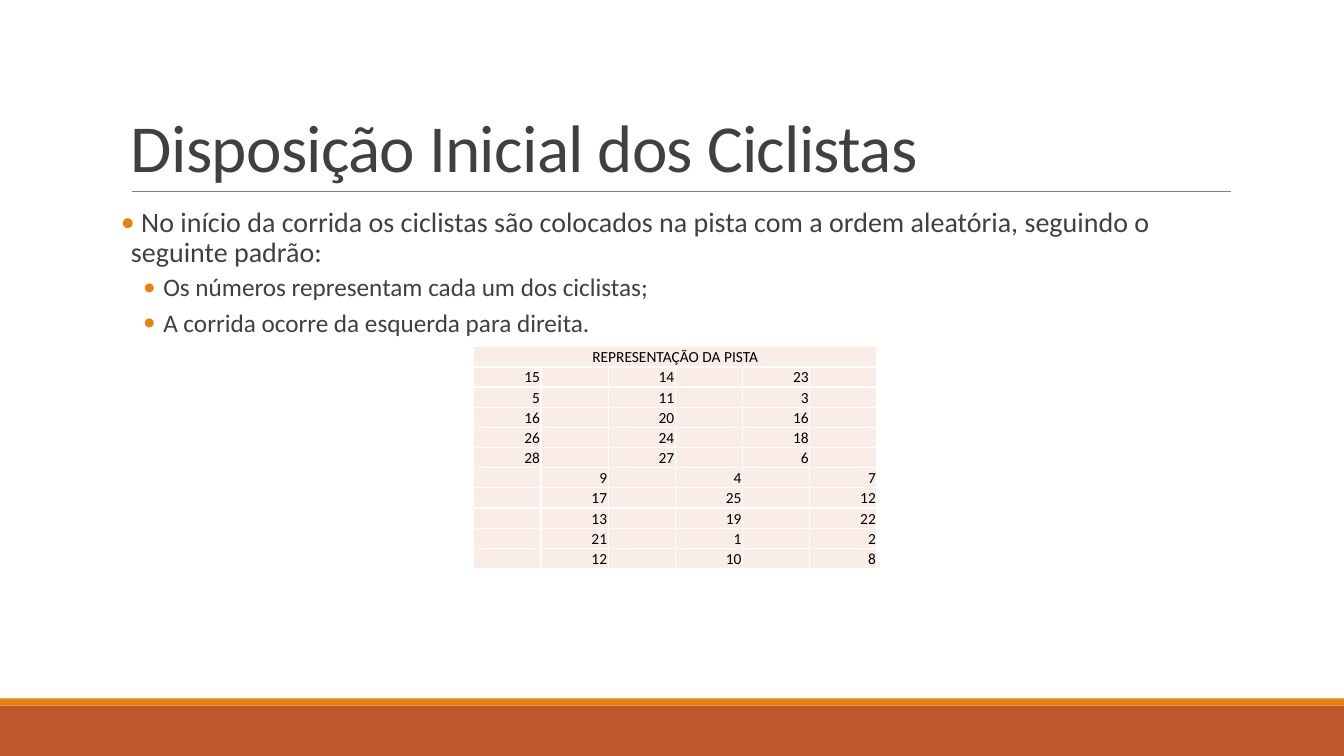
from dataclasses import dataclass

from lxml import etree
from pptx import Presentation
from pptx.dml.color import RGBColor
from pptx.enum.shapes import MSO_CONNECTOR, MSO_SHAPE
from pptx.enum.text import MSO_ANCHOR, PP_ALIGN
from pptx.oxml.ns import qn
from pptx.util import Pt

RECT = MSO_SHAPE.RECTANGLE
LINE = MSO_CONNECTOR.STRAIGHT
BOTTOM, TOP = MSO_ANCHOR.BOTTOM, MSO_ANCHOR.TOP
LEFT, RIGHT, CENTER = PP_ALIGN.LEFT, PP_ALIGN.RIGHT, PP_ALIGN.CENTER


@dataclass(frozen=True)
class Theme:
    font: str = "Calibri"
    ink: str = "404040"
    black: str = "000000"
    white: str = "FFFFFF"
    rule: str = "808080"
    rust: str = "BD582C"
    orange: str = "E48312"
    pale: str = "FAEDE7"
    title: int = 48
    lead: int = 20
    item: int = 18
    cell: int = 11


THEME = Theme()

TITLE = "Disposição Inicial dos Ciclistas"
LEAD = (" No início da corrida os ciclistas são colocados na pista "
        "com a ordem aleatória, seguindo o seguinte padrão:")
ITEMS = ["Os números representam cada um dos ciclistas;",
         "A corrida ocorre da esquerda para direita."]
HEAD = "REPRESENTAÇÃO DA PISTA"
FRONT = [(15, 14, 23), (5, 11, 3), (16, 20, 16), (26, 24, 18), (28, 27, 6)]
BACK = [(9, 4, 7), (17, 25, 12), (13, 19, 22), (21, 1, 2), (12, 10, 8)]
COLS = 6


def rgb(code):
    return RGBColor.from_string(code)


def style(para, size, color):
    for run in para.runs:
        run.font.name = THEME.font
        run.font.size = Pt(size)
        run.font.color.rgb = rgb(color)


def add_band(slide, top, height, color):
    band = slide.shapes.add_shape(RECT, 0, Pt(top), Pt(960), Pt(height))
    band.shadow.inherit = False
    band.fill.solid()
    band.fill.fore_color.rgb = rgb(color)
    band.line.fill.background()


def add_rule(slide, left, right, top):
    rule = slide.shapes.add_connector(
        LINE, Pt(left), Pt(top), Pt(right), Pt(top))
    rule.line.color.rgb = rgb(THEME.rule)
    rule.line.width = Pt(0.5)
    etree.SubElement(rule._element.spPr, qn("a:effectLst"))


def add_text(slide, top, height, text, anchor, inset):
    box = slide.shapes.add_textbox(Pt(86.4), Pt(top), Pt(792), Pt(height))
    frame = box.text_frame
    frame.word_wrap = True
    frame.vertical_anchor = anchor
    frame.margin_left = frame.margin_right = Pt(inset)
    frame.text = text
    return frame.paragraphs


def add_title(slide):
    para = add_text(slide, 22.6, 114.2, TITLE, BOTTOM, 7.2)[0]
    para.line_spacing = 0.85
    style(para, THEME.title, THEME.ink)
    para.runs[0].font._element.set("spc", "-50")


def set_bullet(para, margin, hang):
    props = para._p.get_or_add_pPr()
    props.set("marL", str(Pt(margin)))
    props.set("indent", str(-Pt(hang)))
    tint = etree.SubElement(props, qn("a:buClr"))
    etree.SubElement(tint, qn("a:srgbClr"), val=THEME.orange)
    etree.SubElement(props, qn("a:buFont"), typeface=THEME.font)
    etree.SubElement(props, qn("a:buChar"), char="•")


def add_body(slide):
    text = "\n".join([LEAD, *ITEMS])
    for row, para in enumerate(add_text(slide, 145.4, 316.8, text, TOP, 0)):
        if row == 0:
            size, before, after, margin, hang = THEME.lead, 12, 2, 7.2, 7.2
        else:
            size, before, after, margin, hang = THEME.item, 2, 4, 30.24, 14.4
            para.level = 1
        para.line_spacing = 0.9
        para.space_before = Pt(before)
        para.space_after = Pt(after)
        style(para, size, THEME.ink)
        set_bullet(para, margin, hang)


def set_edges(cell):
    props = cell._tc.get_or_add_tcPr()
    for spot, side in enumerate(("lnL", "lnR", "lnT", "lnB")):
        edge = etree.Element(qn("a:" + side), w=str(Pt(1)))
        fill = etree.SubElement(edge, qn("a:solidFill"))
        etree.SubElement(fill, qn("a:srgbClr"), val=THEME.white)
        props.insert(spot, edge)


def set_cell(cell, text, align):
    cell.fill.solid()
    cell.fill.fore_color.rgb = rgb(THEME.pale)
    set_edges(cell)
    cell.vertical_anchor = BOTTOM
    cell.margin_left = cell.margin_right = cell.margin_top = Pt(0.72)
    cell.margin_bottom = 0
    para = cell.text_frame.paragraphs[0]
    para.alignment = align
    if text:
        para.text = text
        style(para, THEME.cell, THEME.black)
    else:
        tail = etree.SubElement(para._p, qn("a:endParaRPr"))
        tail.set("sz", str(THEME.cell * 100))


def spread(trio, start):
    row = [""] * COLS
    row[start::2] = map(str, trio)
    return row


def add_track(slide):
    rows = [[HEAD] + [""] * (COLS - 1)]
    rows += [spread(trio, 0) for trio in FRONT]
    rows += [spread(trio, 1) for trio in BACK]
    high = 14.4
    grid = slide.shapes.add_table(
        len(rows), COLS, Pt(338.4), Pt(247.7),
        Pt(288), Pt(high * len(rows))).table
    grid.first_row = grid.horz_banding = False
    for r, row in enumerate(rows):
        grid.rows[r].height = Pt(high)
        for c, text in enumerate(row):
            set_cell(grid.cell(r, c), text, RIGHT if r else CENTER)
    grid.cell(0, 0).merge(grid.cell(0, COLS - 1))


def main():
    deck = Presentation()
    deck.slide_width, deck.slide_height = Pt(960), Pt(540)
    slide = deck.slides.add_slide(deck.slide_layouts[6])
    add_band(slide, 504, 36, THEME.rust)
    add_band(slide, 498.9, 5.1, THEME.orange)
    add_rule(slide, 94.3, 879, 136.8)
    add_title(slide)
    add_body(slide)
    add_track(slide)
    deck.save("out.pptx")


main()
